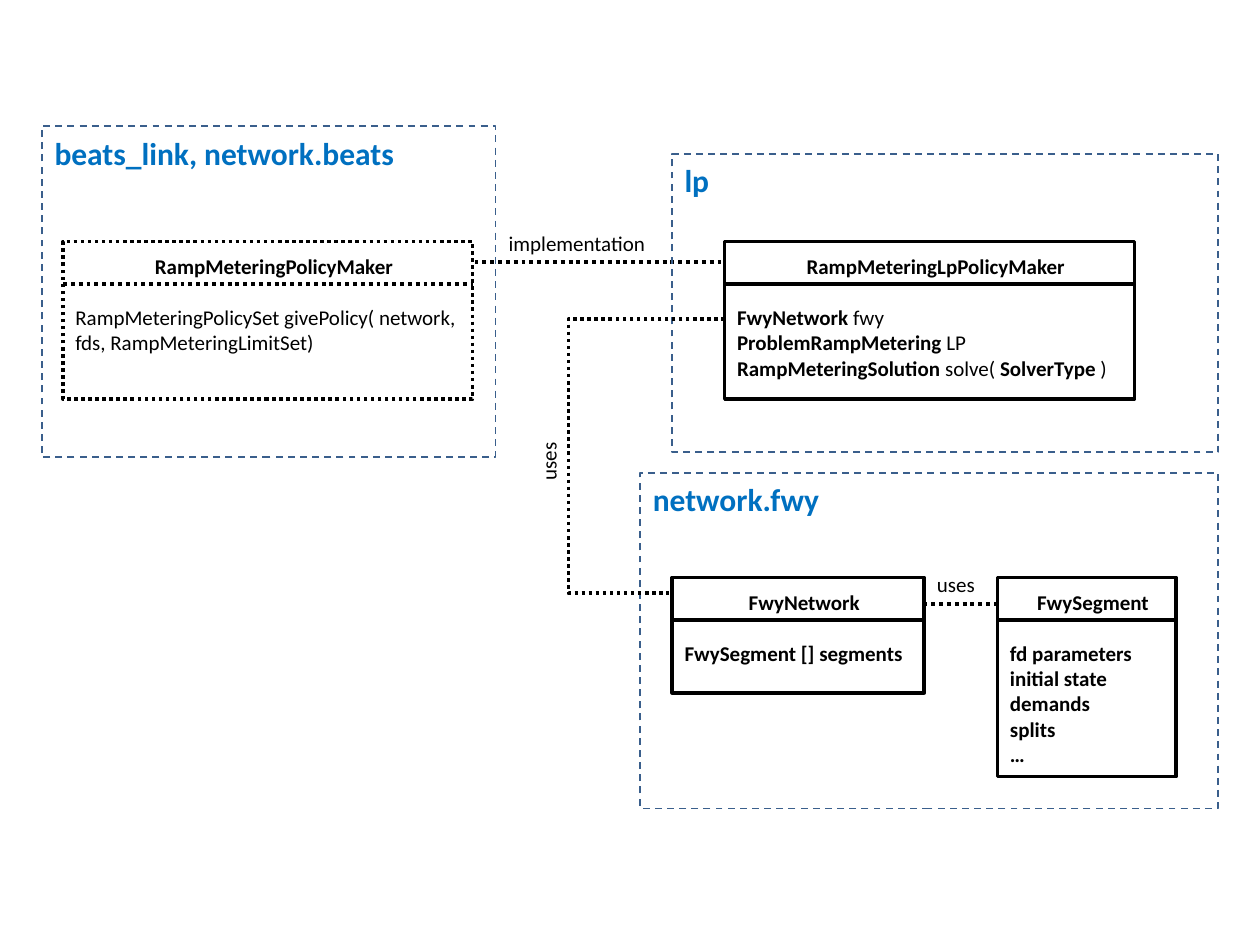
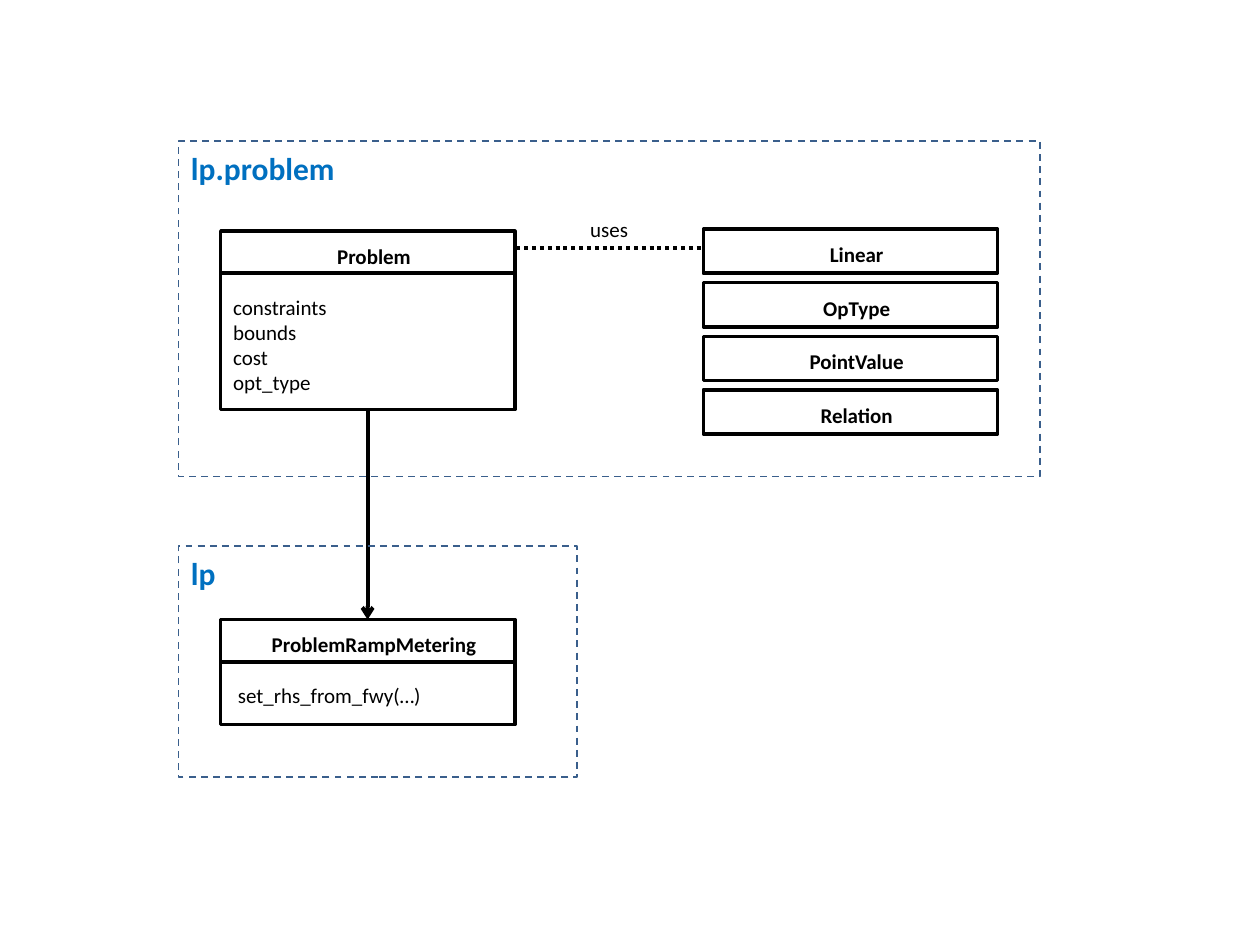
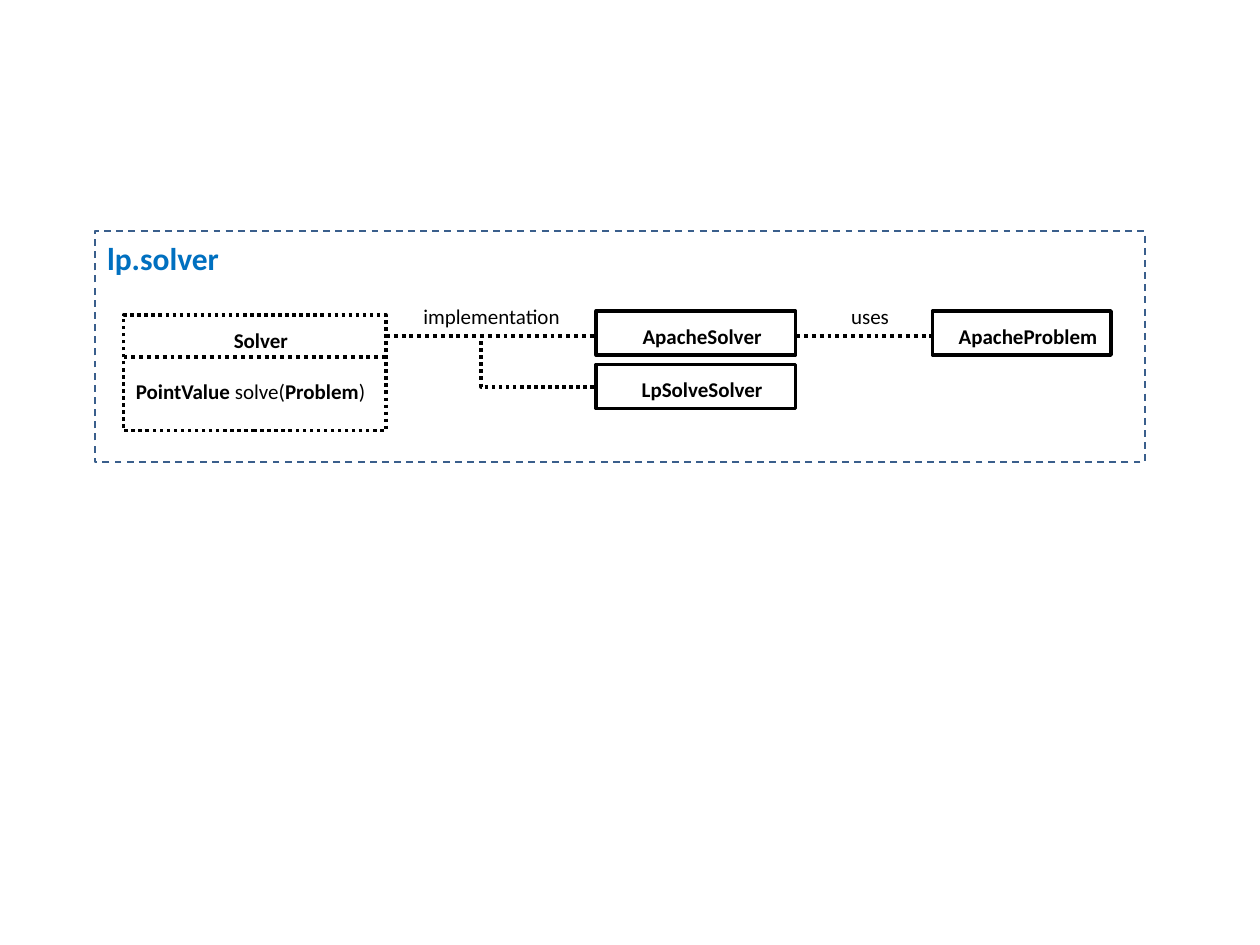
"""Build three class diagram slides: packages, class boxes and links."""
from dataclasses import dataclass

from lxml import etree
from pptx import Presentation
from pptx import util as u
from pptx.dml.color import RGBColor
from pptx.enum import dml, shapes, text
from pptx.oxml.ns import qn
from pptx.slide import Slide

BLACK = RGBColor(0x00, 0x00, 0x00)
WHITE = RGBColor(0xFF, 0xFF, 0xFF)
BLUE = RGBColor(0x00, 0x70, 0xC0)
STEEL = RGBColor(0x3A, 0x5F, 0x8C)
FACE = "Calibri"
DOT = dml.MSO_LINE.ROUND_DOT
DASH = dml.MSO_LINE.DASH
HEAD = 0.85  # height of the name band of a class box
CHIP = 0.89  # height of a box that holds only a name
STEP = 1.08  # distance between stacked name boxes
GAP = 14.65  # space below a class name, in points


@dataclass
class Pack:
    """A dashed package frame; span is the width of its name."""
    name: str
    x: float
    y: float
    w: float
    h: float
    span: float


@dataclass
class Box:
    """A class box; *stars* mark bold words in its rows."""
    name: str
    x: float
    y: float
    w: float
    h: float = CHIP
    rows: tuple[str, ...] = ()
    dots: bool = False


@dataclass
class Link:
    """A straight link between two points."""
    x: float
    y: float
    x2: float
    y2: float
    dots: bool = True
    arrow: bool = False


@dataclass
class Label:
    """A word beside a link."""
    word: str
    x: float
    y: float
    w: float = 1.3
    turn: int = 0


@dataclass
class Page:
    """All parts of one slide."""
    packs: list[Pack]
    boxes: list[Box]
    links: list[Link]
    labels: list[Label]
    bend: tuple[tuple[float, float], ...] = ()


def stack(names: list[str], x: float, y: float, w: float) -> list[Box]:
    """Return name boxes set one below the other."""
    return [Box(name, x, y + i * STEP, w) for i, name in enumerate(names)]


def stroke(line, tint: RGBColor, width: float, dash=None) -> None:
    """Set colour, width and dash of a line."""
    line.color.rgb = tint
    line.width = u.Pt(width)
    if dash:
        line.dash_style = dash


def write(para, words: str, size: int, tint: RGBColor, bold: bool = False,
          align=text.PP_ALIGN.LEFT) -> None:
    """Fill a paragraph, with starred words in bold."""
    para.alignment = align
    font = para.font
    font.name, font.size, font.bold = FACE, u.Pt(size), bold
    font.color.rgb = tint
    for i, part in enumerate(words.split("*")):
        if part:
            run = para.add_run()
            run.text = part
            if i % 2:
                run.font.bold = True


def note(slide: Slide, words: str, x: float, y: float, w: float, h: float,
         size: int, tint: RGBColor, bold: bool, align):
    """Add a text box of one line that does not wrap."""
    box = slide.shapes.add_textbox(u.Cm(x), u.Cm(y), u.Cm(w), u.Cm(h))
    box.text_frame.word_wrap = False
    box.text_frame.auto_size = text.MSO_AUTO_SIZE.SHAPE_TO_FIT_TEXT
    write(box.text_frame.paragraphs[0], words, size, tint, bold, align)
    return box


def frame(slide: Slide, part: Pack | Box):
    """Add a plain rectangle at the place of a package or a class."""
    rect = slide.shapes.add_shape(
        shapes.MSO_SHAPE.RECTANGLE,
        u.Cm(part.x), u.Cm(part.y), u.Cm(part.w), u.Cm(part.h))
    rect.shadow.inherit = False
    return rect


def draw_pack(slide: Slide, pack: Pack) -> None:
    """Draw a package frame and its name."""
    rect = frame(slide, pack)
    rect.fill.background()
    stroke(rect.line, STEEL, 1, DASH)
    note(slide, pack.name, pack.x, pack.y + 0.03, pack.span, 1.02,
         18, BLUE, True, text.PP_ALIGN.LEFT)


def draw_link(slide: Slide, link: Link) -> None:
    """Draw a straight link, with an arrowhead if it has one."""
    wire = slide.shapes.add_connector(
        shapes.MSO_CONNECTOR.STRAIGHT,
        u.Cm(link.x), u.Cm(link.y), u.Cm(link.x2), u.Cm(link.y2))
    stroke(wire.line, BLACK, 2.25, DOT if link.dots else None)
    props = wire._element.spPr
    if link.arrow:
        tip = etree.SubElement(props.find(qn("a:ln")), qn("a:tailEnd"))
        tip.set("type", "arrow")
    etree.SubElement(props, qn("a:effectLst"))


def draw_box(slide: Slide, box: Box) -> None:
    """Draw a class box: name, rows and the line between them."""
    rect = frame(slide, box)
    rect.fill.solid()
    rect.fill.fore_color.rgb = WHITE
    stroke(rect.line, BLACK, 2, DOT if box.dots else None)
    body = rect.text_frame
    body.word_wrap = True
    body.vertical_anchor = text.MSO_ANCHOR.TOP
    body.margin_left = body.margin_top = u.Cm(0.25)
    body.margin_right = body.margin_bottom = 0
    top = body.paragraphs[0]
    write(top, box.name, 12, BLACK, True, text.PP_ALIGN.CENTER)
    if box.rows:
        top.space_after = u.Pt(GAP)
        for row in box.rows:
            write(body.add_paragraph(), row, 12, BLACK)
        y = box.y + HEAD
        draw_link(slide, Link(box.x, y, box.x + box.w, y, box.dots))


def draw_bend(slide: Slide, spots: tuple[tuple[float, float], ...]) -> None:
    """Draw a dotted link with corners."""
    first, *rest = [(u.Cm(x), u.Cm(y)) for x, y in spots]
    pen = slide.shapes.build_freeform(*first)
    pen.add_line_segments(rest, close=False)
    wire = pen.convert_to_shape()
    wire.shadow.inherit = False
    wire.fill.background()
    stroke(wire.line, BLACK, 2, DOT)


def draw_page(slide: Slide, page: Page) -> None:
    """Draw all parts of a slide, links lowest."""
    for link in page.links:
        draw_link(slide, link)
    for box in page.boxes:
        draw_box(slide, box)
    for pack in page.packs:
        draw_pack(slide, pack)
    if page.bend:
        draw_bend(slide, page.bend)
    for tag in page.labels:
        box = note(slide, tag.word, tag.x, tag.y, tag.w, 0.77,
                   12, BLACK, False, text.PP_ALIGN.CENTER)
        box.rotation = tag.turn


PAGES = [
    Page(
        packs=[Pack("beats_link, network.beats", 0.85, 2.54, 9.14, 6.68, 7.42),
               Pack("lp", 13.55, 3.1, 11.01, 6.02, 1.02),
               Pack("network.fwy", 12.91, 9.53, 11.64, 6.77, 3.89)],
        boxes=[Box("RampMeteringLpPolicyMaker", 14.61, 4.87, 8.26, 3.18,
                   ("*FwyNetwork* fwy", "*ProblemRampMetering* LP",
                    "*RampMeteringSolution* solve( *SolverType* )")),
               Box("RampMeteringPolicyMaker", 1.27, 4.87, 8.26, 3.18,
                   ("RampMeteringPolicySet givePolicy( network, fds, "
                    "RampMeteringLimitSet)",), True),
               Box("FwyNetwork", 13.55, 11.64, 5.08, 2.33,
                   ("*FwySegment [] segments*",)),
               Box("FwySegment", 20.11, 11.64, 3.6, 4.02,
                   ("*fd parameters*", "*initial state*", "*demands*",
                    "*splits*", "*…*"))],
        links=[Link(8.46, 5.28, 14.61, 5.28),
               Link(16.72, 12.17, 21.8, 12.17)],
        labels=[Label("implementation", 9.98, 4.52, 3.3),
                Label("uses", 18.62, 11.4),
                Label("uses", 10.41, 8.92, turn=270)],
        bend=((14.61, 6.43), (11.46, 6.43), (11.46, 11.96), (13.49, 11.96))),
    Page(
        packs=[Pack("lp.problem", 3.6, 2.84, 17.36, 6.77, 3.43),
               Pack("lp", 3.6, 11.01, 8.04, 4.66, 1.02)],
        boxes=[Box("Problem", 4.45, 4.66, 5.93, 3.6,
                   ("constraints", "bounds", "cost", "opt_type")),
               Box("ProblemRampMetering", 4.45, 12.49, 5.93, 2.12,
                   (" set_rhs_from_fwy(…)",)),
               *stack(["Linear", "OpType", "PointValue", "Relation"],
                      14.18, 4.62, 5.93)],
        links=[Link(10.41, 5, 15.49, 5),
               Link(7.41, 8.26, 7.41, 12.49, dots=False, arrow=True)],
        labels=[Label("uses", 11.63, 4.24)]),
    Page(
        packs=[Pack("lp.solver", 1.91, 4.66, 21.17, 4.66, 2.77)],
        boxes=[Box("Solver", 2.49, 6.35, 5.29, 2.33,
                   ("*PointValue* solve(*Problem*)",), True),
               *stack(["ApacheSolver", "LpSolveSolver"], 12.02, 6.27, 4.02),
               Box("ApacheProblem", 18.8, 6.27, 3.6)],
        links=[Link(16.05, 6.77, 21.13, 6.77),
               Link(7.78, 6.77, 12.87, 6.77)],
        labels=[Label("implementation", 8.26, 6, 3.3),
                Label("uses", 16.89, 6)],
        bend=((9.7, 6.88), (9.7, 7.8), (12.04, 7.8))),
]


def main() -> None:
    """Build and save the slides."""
    deck = Presentation()
    deck.slide_width, deck.slide_height = u.Cm(25.4), u.Cm(19.05)
    blank = deck.slide_layouts.get_by_name("Blank")
    for page in PAGES:
        draw_page(deck.slides.add_slide(blank), page)
    deck.save("out.pptx")


main()
